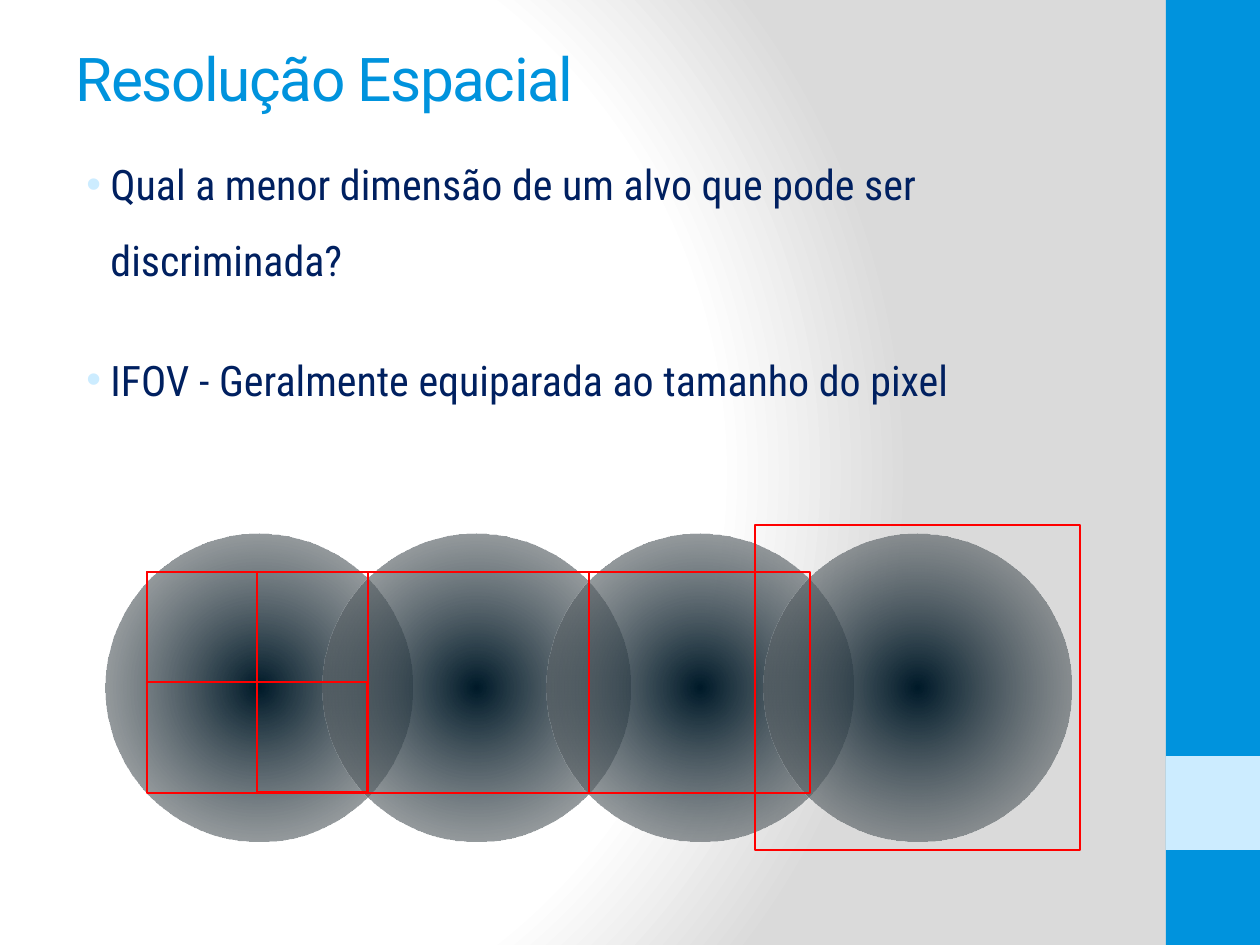
from lxml import etree
from pptx import Presentation
from pptx.dml.color import RGBColor
from pptx.enum.shapes import MSO_SHAPE
from pptx.enum.text import MSO_ANCHOR
from pptx.oxml import parse_xml
from pptx.oxml.ns import nsdecls, qn
from pptx.util import Pt

RECTANGLE, OVAL = MSO_SHAPE.RECTANGLE, MSO_SHAPE.OVAL
MIDDLE = MSO_ANCHOR.MIDDLE
PX = 914400 / 126
THEME = {
    "blue": "0093DD", "pale": "CCECFF", "navy": "002060", "red": "FF0000",
    "title_font": "Roboto", "title_size": 34.5,
    "body_font": "Roboto Condensed", "body_size": 24,
    "outline": 1.5,
    "backdrop": [(0, "FFFFFF", 100), (75, "FFFFFF", 100), (100, "DADADA", 100)],
    "footprint": [(0, "001A29", 100), (100, "808080", 50)],
}


def add_figure(kind, left, top, width, height, fill=None, line=None):
    box = [round(v * PX) for v in (left, top, width, height)]
    figure = slide.shapes.add_shape(kind, *box)
    figure.shadow.inherit = False
    if fill:
        figure.fill.solid()
        figure.fill.fore_color.rgb = RGBColor.from_string(fill)
    else:
        figure.fill.background()
    if line:
        figure.line.color.rgb = RGBColor.from_string(line)
        figure.line.width = Pt(THEME["outline"])
    else:
        figure.line.fill.background()
    return figure


def set_radial(owner, fill, stops, focus):
    fill.gradient()
    old = owner.element.find(".//" + qn("a:gradFill"))
    stop_xml = "".join(
        f'<a:gs pos="{pos * 1000}"><a:srgbClr val="{color}">'
        f'<a:alpha val="{alpha * 1000}"/></a:srgbClr></a:gs>'
        for pos, color, alpha in stops)
    edges = " ".join(f'{side}="{v * 1000}"' for side, v in zip("ltrb", focus))
    old.getparent().replace(old, parse_xml(
        f'<a:gradFill {nsdecls("a")} rotWithShape="1"><a:gsLst>{stop_xml}</a:gsLst>'
        f'<a:path path="circle"><a:fillToRect {edges}/></a:path></a:gradFill>'))


prs = Presentation()
prs.slide_width = round(1260 * PX)
prs.slide_height = round(945 * PX)
slide = prs.slides.add_slide(prs.slide_layouts[6])
set_radial(slide, slide.background.fill, THEME["backdrop"], (20, 50, 100, 50))

add_figure(RECTANGLE, 1166, 0, 94, 945, fill=THEME["blue"])
add_figure(RECTANGLE, 1166, 756, 94, 94, fill=THEME["pale"])

for left in (105, 323, 546, 764):
    footprint = add_figure(OVAL, left, 534, 307, 307)
    set_radial(footprint, footprint.fill, THEME["footprint"], (50, 50, 50, 50))

title = slide.shapes.add_textbox(*[round(v * PX) for v in (63, 38, 1050, 78)])
title.text_frame.word_wrap = True
title.text_frame.vertical_anchor = MIDDLE
title.text_frame.text = "Resolução Espacial"
heading = title.text_frame.paragraphs[0].runs[0]
heading.font.name = THEME["title_font"]
heading.font.size = Pt(THEME["title_size"])
heading.font.color.rgb = RGBColor.from_string(THEME["blue"])
heading.font._element.set("spc", "-80")

body = slide.shapes.add_textbox(*[round(v * PX) for v in (63, 127, 1050, 761)])
body.text_frame.word_wrap = True
body.text_frame.text = (
    "Qual a menor dimensão de um alvo que pode ser discriminada?\n"
    "IFOV - Geralmente equiparada ao tamanho do pixel")
for index, point in enumerate(body.text_frame.paragraphs):
    point.line_spacing = 1.5
    point.space_before = Pt(13.5 if index else 0)
    point.space_after = Pt(12)
    props = point._p.get_or_add_pPr()
    props.set("marL", str(round(35 * PX)))
    props.set("indent", str(round(-24 * PX)))
    bullet_color = etree.SubElement(props, qn("a:buClr"))
    etree.SubElement(bullet_color, qn("a:srgbClr"), val=THEME["pale"])
    etree.SubElement(props, qn("a:buFont"), typeface="Arial")
    etree.SubElement(props, qn("a:buChar"), char="•")
    wording = point.runs[0].font
    wording.name = THEME["body_font"]
    wording.size = Pt(THEME["body_size"])
    wording.color.rgb = RGBColor.from_string(THEME["navy"])

grid_left, grid_top, pixel = 147, 572, 221
half = pixel // 2
pixels = [(grid_left + col * pixel, grid_top, pixel) for col in range(3)]
pixels.append((755, 525, 325))
pixels += [(grid_left + step * half, grid_top + step * half, half) for step in range(2)]
for left, top, side in pixels:
    add_figure(RECTANGLE, left, top, side, side, line=THEME["red"])

prs.save("out.pptx")
